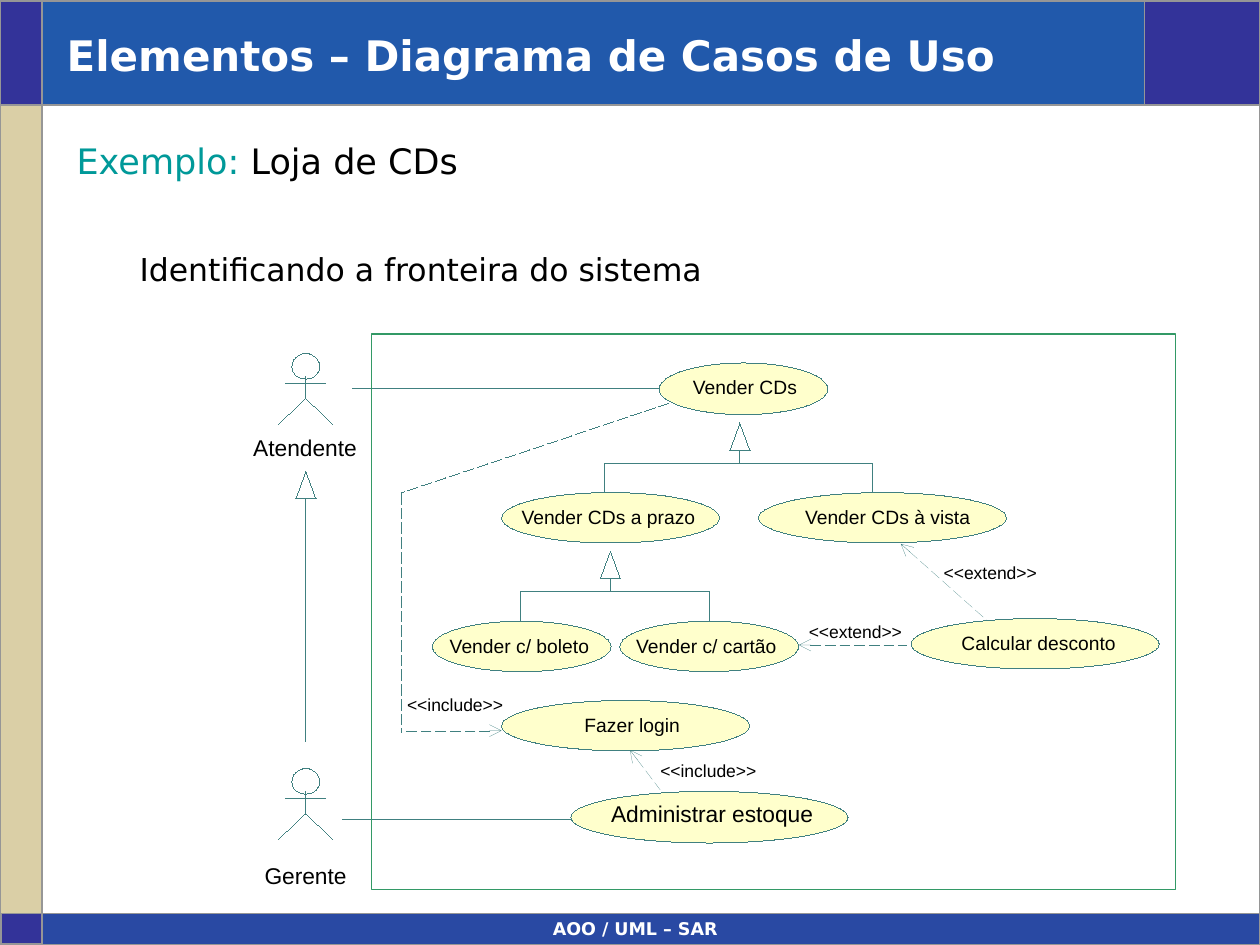
from dataclasses import dataclass

from lxml import etree
from pptx import Presentation
from pptx import util as u
from pptx.dml import color
from pptx.enum import dml, shapes, text
from pptx.oxml import ns

WHITE = color.RGBColor(0xFF, 0xFF, 0xFF)
BLACK = color.RGBColor(0x00, 0x00, 0x00)
INDIGO = color.RGBColor(0x33, 0x33, 0x99)
HEADER_BLUE = color.RGBColor(0x21, 0x59, 0xAB)
FOOTER_BLUE = color.RGBColor(0x29, 0x49, 0xA3)
SAND = color.RGBColor(0xDA, 0xCF, 0xA6)
GRAY = color.RGBColor(0x96, 0x96, 0x96)
SILVER = color.RGBColor(0xC0, 0xC0, 0xC0)
TEAL = color.RGBColor(0x40, 0x80, 0x80)
ACCENT = color.RGBColor(0x00, 0x99, 0x99)
CREAM = color.RGBColor(0xFF, 0xFF, 0xCC)
GREEN = color.RGBColor(0x33, 0x99, 0x66)
DISPLAY = "DejaVu Sans"
DIAGRAM = "Arial"
HAIRLINE = 0.01
RECT = shapes.MSO_SHAPE.RECTANGLE
OVAL = shapes.MSO_SHAPE.OVAL


@dataclass
class Area:
    left: float
    top: float
    width: float
    height: float

    def lengths(self) -> list[u.Length]:
        return [u.Pt(n) for n in (self.left, self.top, self.width, self.height)]


@dataclass
class Panel:
    area: Area
    fill: color.RGBColor | None
    line: color.RGBColor | None = None
    weight: float = 0.75


@dataclass
class Label:
    wording: str
    area: Area
    size: float


@dataclass
class UseCase:
    oval: Area
    label: Label


@dataclass
class Link:
    x1: float
    y1: float
    x2: float
    y2: float
    dashed: bool = False
    arrow: bool = False


@dataclass
class Actor:
    x: float
    top: float
    label: Label


@dataclass
class Tree:
    x: float
    top: float
    bar: float
    left: float
    right: float
    bottom: float


PANELS = [
    Panel(Area(0, 0.5, 24, 59.5), INDIGO, GRAY),
    Panel(Area(24, 0, 696, 60), HEADER_BLUE),
    Panel(Area(0, 60.5, 24, 462), SAND, SILVER),
    Panel(Area(654, 0, 66, 60), INDIGO),
    Panel(Area(24, 522, 696, 18), FOOTER_BLUE),
    Panel(Area(0.5, 522, 23.5, 17.5), INDIGO, GRAY),
    Panel(Area(0, 0.5, 720, 539.5), None, GRAY, 1),
]
RULES = [Link(654, 0, 654, 60), Link(0, 60, 720, 60), Link(24, 0, 24, 540), Link(0, 522, 720, 522)]
ACTORS = [
    Actor(174.8, 202, Label("Atendente", Area(144.7, 247.7, 63, 15.8), 13)),
    Actor(174.8, 439.2, Label("Gerente", Area(151.2, 492.5, 50, 15.8), 13)),
]
TREES = [
    Tree(422.8, 241.7, 264.7, 345.6, 498.7, 293),
    Tree(348.8, 314.9, 337.8, 297.4, 405.4, 366.5),
]
LINKS = [
    Link(382.3, 221.8, 201.6, 221.8),
    Link(354.2, 468.5, 195.8, 468.5),
    Link(286.6, 417.5, 229.7, 417.5, True, True),
    Link(456.5, 368.6, 518.4, 368.6, True, True),
    Link(360, 428.6, 377.3, 451.4, True, True),
    Link(514.8, 310.8, 564.5, 355, True, True),
    Link(229.7, 282, 229.7, 418.5, True),
    Link(382.3, 230.4, 229.7, 281.5, True),
]
USE_CASES = [
    UseCase(Area(286.6, 281.5, 124.6, 28.8), Label("Vender CDs a prazo", Area(298, 288.7, 104, 13), 11)),
    UseCase(Area(433.4, 281.5, 141.8, 28.8), Label("Vender CDs à vista", Area(460, 288.7, 99, 13), 11)),
    UseCase(Area(247, 355, 102.2, 28.8), Label("Vender c/ boleto", Area(257, 362.2, 84, 13), 11)),
    UseCase(Area(354.2, 355, 102.2, 28.8), Label("Vender c/ cartão", Area(363.5, 362.2, 85, 13), 11)),
    UseCase(Area(520.6, 353.5, 141.8, 28.8), Label("Calcular desconto", Area(549.4, 360.7, 92, 13), 11)),
    UseCase(Area(286.6, 400.3, 141.8, 28.8), Label("Fazer login", Area(334, 407.5, 58, 13), 11)),
    UseCase(Area(376.6, 207.4, 96.5, 29.5), Label("Vender CDs", Area(396, 214.6, 64, 13), 11)),
    UseCase(Area(326.2, 452.2, 158.4, 29.5), Label("Administrar estoque", Area(349.2, 457.2, 120, 15.8), 13)),
]
STEREOTYPES = [
    Label("<<extend>>", Area(539.3, 321.1, 58, 12.2), 10),
    Label("<<extend>>", Area(462.2, 355, 58, 12.2), 10),
    Label("<<include>>", Area(377.3, 434.2, 59, 12.2), 10),
    Label("<<include>>", Area(232.6, 396.7, 59, 12.2), 10),
]


def style(shape, fill: color.RGBColor | None, line: color.RGBColor | None, weight: float = HAIRLINE) -> None:
    shape.shadow.inherit = False
    if fill is None:
        shape.fill.background()
    else:
        shape.fill.solid()
        shape.fill.fore_color.rgb = fill
    if line is None:
        shape.line.fill.background()
    else:
        shape.line.color.rgb = line
        shape.line.width = u.Pt(weight)


def draw_panel(page, panel: Panel, kind=RECT) -> None:
    shape = page.shapes.add_shape(kind, *panel.area.lengths())
    style(shape, panel.fill, panel.line, panel.weight)


def draw_link(page, link: Link, line: color.RGBColor = TEAL, weight: float = HAIRLINE) -> None:
    ends = [u.Pt(n) for n in (link.x1, link.y1, link.x2, link.y2)]
    connector = page.shapes.add_connector(shapes.MSO_CONNECTOR.STRAIGHT, *ends)
    connector.line.color.rgb = line
    connector.line.width = u.Pt(weight)
    if link.dashed:
        connector.line.dash_style = dml.MSO_LINE.LONG_DASH
    properties = connector._element.spPr
    if link.arrow:
        etree.SubElement(properties.find(ns.qn("a:ln")), ns.qn("a:headEnd"), type="arrow")
    etree.SubElement(properties, ns.qn("a:effectLst"))


def draw_outline(page, points: list[tuple[float, float]], closed: bool) -> None:
    corners = [(u.Pt(x), u.Pt(y)) for x, y in points]
    builder = page.shapes.build_freeform(*corners[0])
    builder.add_line_segments(corners[1:], close=closed)
    style(builder.convert_to_shape(), WHITE if closed else None, TEAL)


def draw_triangle(page, x: float, top: float) -> None:
    draw_outline(page, [(x, top), (x + 5.8, top + 15.8), (x - 5.8, top + 15.8)], True)


def set_font(font, name: str, size: float, fill: color.RGBColor, bold: bool = False) -> None:
    font.name, font.size, font.bold = name, u.Pt(size), bold
    font.color.rgb = fill


def draw_label(page, label: Label) -> None:
    frame = page.shapes.add_textbox(*label.area.lengths()).text_frame
    frame.margin_left = frame.margin_right = frame.margin_top = frame.margin_bottom = u.Pt(0)
    frame.word_wrap = False
    para = frame.paragraphs[0]
    para.text, para.alignment = label.wording, text.PP_ALIGN.LEFT
    set_font(para.font, DIAGRAM, label.size, BLACK)
    frame.auto_size = text.MSO_AUTO_SIZE.NONE
    frame.word_wrap = True


def draw_actor(page, actor: Actor) -> None:
    x, top = actor.x, actor.top
    draw_panel(page, Panel(Area(x - 8, top, 16, 14.6), None, TEAL, HAIRLINE), OVAL)
    draw_link(page, Link(x, top + 13.3, x, top + 25.5))
    draw_link(page, Link(x - 11.5, top + 16.9, x + 11, top + 16.9))
    draw_outline(page, [(x - 15.8, top + 40.4), (x, top + 25.5), (x + 15.3, top + 40.4)], False)
    draw_label(page, actor.label)


def draw_tree(page, tree: Tree) -> None:
    draw_link(page, Link(tree.x, tree.bar, tree.x, tree.top))
    draw_link(page, Link(tree.left, tree.bar, tree.right, tree.bar))
    for x in (tree.left, tree.right):
        draw_link(page, Link(x, tree.bottom, x, tree.bar))
    draw_triangle(page, tree.x, tree.top)


def draw_heading(page, label: Label, align) -> None:
    frame = page.shapes.add_textbox(*label.area.lengths()).text_frame
    frame.word_wrap = True
    frame.vertical_anchor = text.MSO_ANCHOR.MIDDLE
    para = frame.paragraphs[0]
    para.text, para.alignment = label.wording, align
    set_font(para.font, DISPLAY, label.size, WHITE, True)


def draw_body(page) -> None:
    frame = page.shapes.add_textbox(*Area(36.7, 71.3, 653.8, 420).lengths()).text_frame
    frame.word_wrap = True
    example, boundary = frame.paragraphs[0], frame.add_paragraph()
    for wording, fill in (("Exemplo:", ACCENT), (" Loja de CDs", BLACK)):
        span = example.add_run()
        span.text = wording
        set_font(span.font, DISPLAY, 20, fill)
    boundary.text = "Identificando a fronteira do sistema"
    boundary.level = 1
    boundary.space_before = u.Pt(35)
    boundary._p.get_or_add_pPr().set("marL", str(u.Pt(36)))
    set_font(boundary.font, DISPLAY, 18, BLACK)
    example.line_spacing = boundary.line_spacing = 1.2


def main() -> None:
    deck = Presentation()
    deck.slide_width, deck.slide_height = u.Pt(720), u.Pt(540)
    page = deck.slides.add_slide(deck.slide_layouts[6])
    for panel in PANELS:
        draw_panel(page, panel)
    for rule in RULES:
        draw_link(page, rule, GRAY, 1)
    draw_heading(page, Label("AOO / UML – SAR", Area(131.8, 521.5, 462.2, 18), 10), text.PP_ALIGN.CENTER)
    draw_heading(page, Label("Elementos – Diagrama de Casos de Uso", Area(31, 9, 617.8, 44.6), 24), text.PP_ALIGN.LEFT)
    draw_body(page)
    for actor in ACTORS:
        draw_actor(page, actor)
    draw_link(page, Link(174.8, 424, 174.8, 269.3))
    draw_triangle(page, 174.8, 269.3)
    for tree in TREES:
        draw_tree(page, tree)
    for link in LINKS:
        draw_link(page, link)
    for case in USE_CASES:
        draw_panel(page, Panel(case.oval, CREAM, TEAL, HAIRLINE), OVAL)
        draw_label(page, case.label)
    for stereotype in STEREOTYPES:
        draw_label(page, stereotype)
    draw_panel(page, Panel(Area(212.4, 190.8, 459.4, 317.5), None, GREEN))
    deck.save("out.pptx")


if __name__ == "__main__":
    main()
